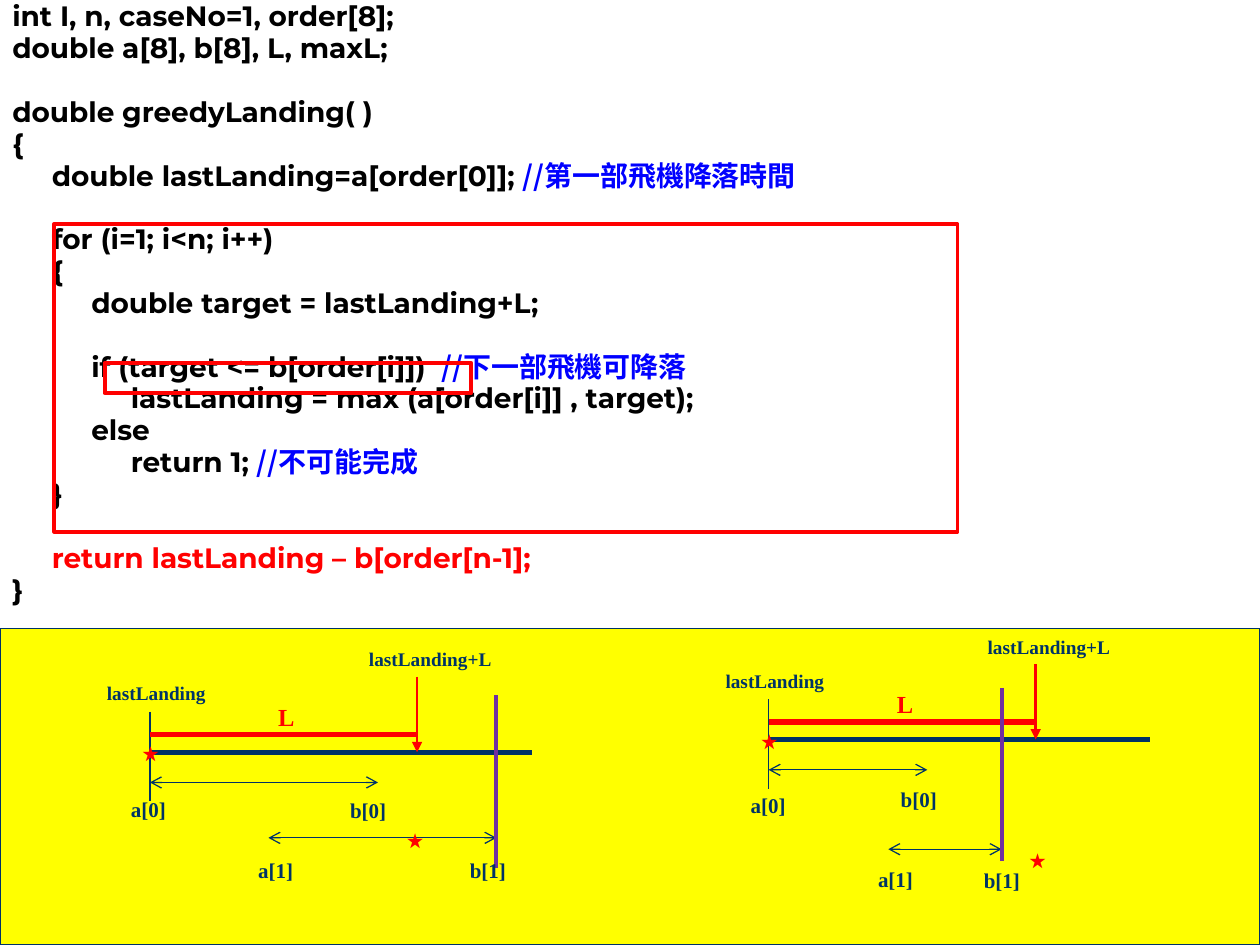
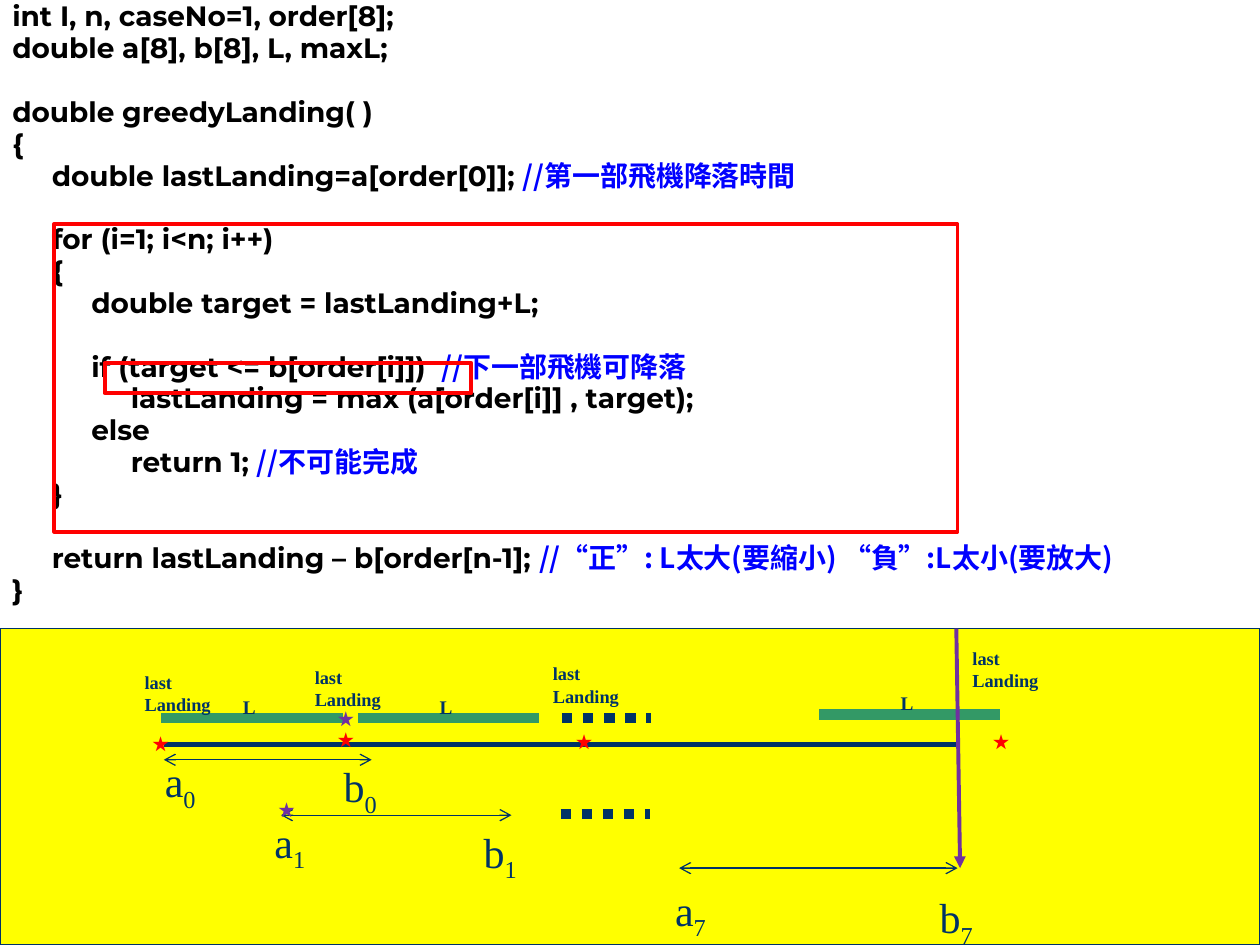
from dataclasses import dataclass

from lxml import etree
from pptx import Presentation
from pptx.dml.color import RGBColor
from pptx.enum.dml import MSO_LINE
from pptx.enum.shapes import MSO_CONNECTOR, MSO_SHAPE
from pptx.enum.text import MSO_AUTO_SIZE
from pptx.oxml.ns import qn
from pptx.util import Inches, Pt

RECTANGLE = MSO_SHAPE.RECTANGLE
STRAIGHT = MSO_CONNECTOR.STRAIGHT
DOTTED = MSO_LINE.ROUND_DOT
FIT_TO_TEXT = MSO_AUTO_SIZE.SHAPE_TO_FIT_TEXT

CODE_FONT = "Montserrat"
COMMENT_FONT = "Noto Sans CJK SC"
LABEL_FONT = "Times New Roman"
BLACK, WHITE, YELLOW = "000000", "FFFFFF", "FFFF00"
NAVY, RED, BLUE = "003366", "FF0000", "0000FF"
PURPLE, GREEN = "7030A0", "339966"

CODE_SIZE = 16
LINE_HEIGHT = 15
LINE_GAP = 3.2
BLANK_LINE = LINE_HEIGHT + LINE_GAP


@dataclass
class CodeLine:
    text: str
    comment: str = ""
    color: str = BLACK
    blank_before: bool = False


@dataclass
class Scenario:
    """Two landing windows; all but left and axis are offsets from them."""
    left: float
    axis: float
    first_end: float
    second_start: float
    second_end: float
    second_row: float
    limit_top: float
    target_star: tuple[float, float]
    labels: dict[str, tuple[float, float]]


@dataclass
class Window:
    start: float
    end: float
    row: float
    index: str
    start_label: tuple[float, float]
    end_label: tuple[float, float]


CODE_BODY = [
    CodeLine("int I, n, caseNo=1, order[8];"),
    CodeLine("double a[8], b[8], L, maxL;"),
    CodeLine("double greedyLanding( )", blank_before=True),
    CodeLine("{"),
    CodeLine("     double lastLanding=a[order[0]]; ", "//第一部飛機降落時間"),
    CodeLine("     for (i=1; i<n; i++)", blank_before=True),
    CodeLine("     {"),
    CodeLine("          double target = lastLanding+L;"),
    CodeLine("          if (target <= b[order[i]])  ", "//下一部飛機可降落", blank_before=True),
    CodeLine("               lastLanding = max (a[order[i]] , target);"),
    CodeLine("          else"),
    CodeLine("               return 1; ", "//不可能完成"),
    CodeLine("     }"),
]
RETURN_TEXT = "     return lastLanding – b[order[n-1];"
RED_RETURN = CodeLine(RETURN_TEXT, color=RED, blank_before=True)
EXPLAINED_RETURN = CodeLine(RETURN_TEXT + " ", "//“正”: L太大(要縮小) “負”:L太小(要放大)",
                            blank_before=True)

SCENARIOS = [
    Scenario(1.19, 5.97, 1.81, 0.94, 2.75, 0.68, -0.45, (1.94, 0.55),
             {"a[0]": (-0.25, 0.3), "b[0]": (1.49, 0.31),
              "a[1]": (0.76, 0.79), "b[1]": (2.44, 0.79)}),
    Scenario(6.1, 5.87, 1.26, 0.95, 1.85, 0.87, -0.41, (1.97, 0.81),
             {"a[0]": (-0.24, 0.37), "b[0]": (0.95, 0.32),
              "a[1]": (0.77, 0.96), "b[1]": (1.61, 0.97)}),
]

WINDOWS = [
    Window(1.3, 2.95, 6.03, "0", (1.21, 5.95), (2.63, 5.99)),
    Window(2.23, 4.06, 6.47, "1", (2.08, 6.43), (3.74, 6.51)),
    Window(5.39, 7.6, 6.89, "7", (5.26, 6.97), (7.36, 7.03)),
]
# left and row of each separation bar
SEPARATIONS = [(1.28, 5.7), (2.84, 5.7), (6.5, 5.67)]
DOTTED_GAPS = [(4.45, 6.46), (4.46, 5.7)]
STARS = [(1.11, 5.75, RED), (2.58, 5.72, RED), (4.47, 5.73, RED), (7.78, 5.73, RED),
         (2.58, 5.55, PURPLE), (2.11, 6.27, PURPLE)]
LAST_LANDINGS = [(1.05, 5.28), (2.4, 5.24), (4.29, 5.21), (7.62, 5.09)]


def rgb(color: str) -> RGBColor:
    return RGBColor.from_string(color)


def add_run(paragraph, text: str, *, font: str = LABEL_FONT, size: float = 12,
            color: str = NAVY, bold: bool = False, subscript: bool = False) -> None:
    run = paragraph.add_run()
    run.text = text
    run.font.size = Pt(size)
    run.font.bold = bold
    run.font.color.rgb = rgb(color)
    run.font.name = font
    properties = run.font._element
    etree.SubElement(properties, qn("a:ea")).set("typeface", font)
    if subscript:
        properties.set("baseline", "-25000")


def add_label(shapes, text: str, left: float, top: float, width: float, height: float, *,
              subscript: str = "", **style) -> None:
    """Add an unwrapped text box, one paragraph for each line of text."""
    box = shapes.add_textbox(Inches(left), Inches(top), Inches(width), Inches(height))
    frame = box.text_frame
    frame.word_wrap = False
    frame.auto_size = FIT_TO_TEXT
    for number, line in enumerate(text.split("\n")):
        paragraph = frame.add_paragraph() if number else frame.paragraphs[0]
        add_run(paragraph, line, **style)
    if subscript:
        add_run(paragraph, subscript, subscript=True, **style)


def add_star(shapes, left: float, top: float, color: str = RED) -> None:
    add_label(shapes, "★", left, top, 0.37, 0.3, color=color)


def add_line(shapes, start: tuple[float, float], end: tuple[float, float], *,
             color: str = NAVY, width: float = 0.75, dash=None,
             head: str = "", tail: str = "") -> None:
    points = [Inches(value) for value in (*start, *end)]
    connector = shapes.add_connector(STRAIGHT, *points)
    connector.line.color.rgb = rgb(color)
    connector.line.width = Pt(width)
    if dash:
        connector.line.dash_style = dash
    properties = connector._element.spPr
    outline = properties.find(qn("a:ln"))
    for tag, arrow in (("a:headEnd", head), ("a:tailEnd", tail)):
        if arrow:
            etree.SubElement(outline, qn(tag)).set("type", arrow)
    etree.SubElement(properties, qn("a:effectLst"))


def add_span(shapes, start: float, end: float, row: float, **style) -> None:
    add_line(shapes, (start, row), (end, row), **style)


def add_window_arrow(shapes, start: float, end: float, row: float) -> None:
    add_span(shapes, start, end, row, head="arrow", tail="arrow")


def add_rectangle(shapes, left: float, top: float, width: float, height: float, *,
                  line: str, line_width: float, fill: str = "") -> None:
    shape = shapes.add_shape(RECTANGLE, Inches(left), Inches(top),
                             Inches(width), Inches(height))
    shape.shadow.inherit = False
    if fill:
        shape.fill.solid()
        shape.fill.fore_color.rgb = rgb(fill)
    else:
        shape.fill.background()
    shape.line.color.rgb = rgb(line)
    shape.line.width = Pt(line_width)


def add_code(shapes, lines: list[CodeLine]) -> None:
    box = shapes.add_textbox(0, 0, Inches(10), Inches(7.5))
    box.fill.solid()
    box.fill.fore_color.rgb = rgb(WHITE)
    frame = box.text_frame
    frame.word_wrap = True
    for number, line in enumerate(lines):
        paragraph = frame.add_paragraph() if number else frame.paragraphs[0]
        paragraph.line_spacing = Pt(LINE_HEIGHT)
        if number:
            paragraph.space_before = Pt(LINE_GAP + BLANK_LINE * line.blank_before)
        add_run(paragraph, line.text, font=CODE_FONT, size=CODE_SIZE,
                color=line.color, bold=True)
        if line.comment:
            add_run(paragraph, line.comment, font=COMMENT_FONT, size=CODE_SIZE,
                    color=BLUE, bold=True)


def add_code_slide(presentation, return_line: CodeLine):
    """Add the listing, its two red frames and the yellow band; return the shapes."""
    shapes = presentation.slides.add_slide(presentation.slide_layouts[6]).shapes
    add_code(shapes, CODE_BODY + [return_line, CodeLine("}")])
    add_rectangle(shapes, 0, 4.99, 10, 2.51, line=NAVY, line_width=0.75, fill=YELLOW)
    add_rectangle(shapes, 0.43, 1.78, 7.17, 2.44, line=RED, line_width=2.25)
    add_rectangle(shapes, 0.83, 2.88, 2.91, 0.24, line=RED, line_width=2.25)
    return shapes


def add_scenario(shapes, scenario: Scenario) -> None:
    left, axis = scenario.left, scenario.axis
    target = left + 2.12
    limit = left + scenario.second_end
    limit_top = axis + scenario.limit_top
    add_span(shapes, left, left + 3.03, axis, width=3)
    add_window_arrow(shapes, left, left + scenario.first_end, axis + 0.24)
    add_window_arrow(shapes, left + scenario.second_start, limit, axis + scenario.second_row)
    add_line(shapes, (left, axis - 0.32), (left, axis + 0.39))
    add_span(shapes, left, target, axis - 0.14, color=RED, width=3)
    add_line(shapes, (limit, limit_top), (limit, limit_top + 1.37), color=PURPLE, width=2.25)
    add_line(shapes, (target, axis - 0.6), (target, axis), color=RED, width=1.5,
             tail="triangle")
    add_star(shapes, left - 0.16, axis - 0.14)
    add_star(shapes, left + scenario.target_star[0], axis + scenario.target_star[1])
    add_label(shapes, "lastLanding", left - 0.44, axis - 0.61, 0.99, 0.29, size=11, bold=True)
    add_label(shapes, "lastLanding+L", left + 1.64, axis - 0.88, 1.18, 0.29,
              size=11, bold=True)
    add_label(shapes, "L", left + 0.92, axis - 0.45, 0.33, 0.34,
              size=14, color=RED, bold=True)
    for text, (across, down) in scenario.labels.items():
        add_label(shapes, text, left + across, axis + down, 0.49, 0.3, bold=True)


def add_landing_sequence(shapes) -> None:
    add_span(shapes, 1.3, 7.6, 5.91, width=3)
    for window in WINDOWS:
        add_window_arrow(shapes, window.start, window.end, window.row)
        for letter, place in (("a", window.start_label), ("b", window.end_label)):
            add_label(shapes, letter, *place, 0.47, 0.5, size=24, subscript=window.index)
    for left, row in DOTTED_GAPS:
        add_span(shapes, left, left + 0.71, row, width=6, dash=DOTTED)
    for left, row in SEPARATIONS:
        group = shapes.add_group_shape()
        add_span(group.shapes, left, left + 1.44, row, color=GREEN, width=6)
        add_label(group.shapes, "L", left + 0.55, row - 0.23, 0.31, 0.29, size=11, bold=True)
    add_line(shapes, (7.59, 4.99), (7.62, 6.89), color=PURPLE, width=2.25, tail="triangle")
    for left, top, color in STARS:
        add_star(shapes, left, top, color)
    for place in LAST_LANDINGS:
        add_label(shapes, "last\nLanding", *place, 0.73, 0.45, size=10.5, bold=True)


def main() -> None:
    presentation = Presentation()
    presentation.slide_width = Inches(10)
    presentation.slide_height = Inches(7.5)
    comparison = add_code_slide(presentation, RED_RETURN)
    for scenario in SCENARIOS:
        add_scenario(comparison, scenario)
    add_landing_sequence(add_code_slide(presentation, EXPLAINED_RETURN))
    presentation.save("out.pptx")


if __name__ == "__main__":
    main()
